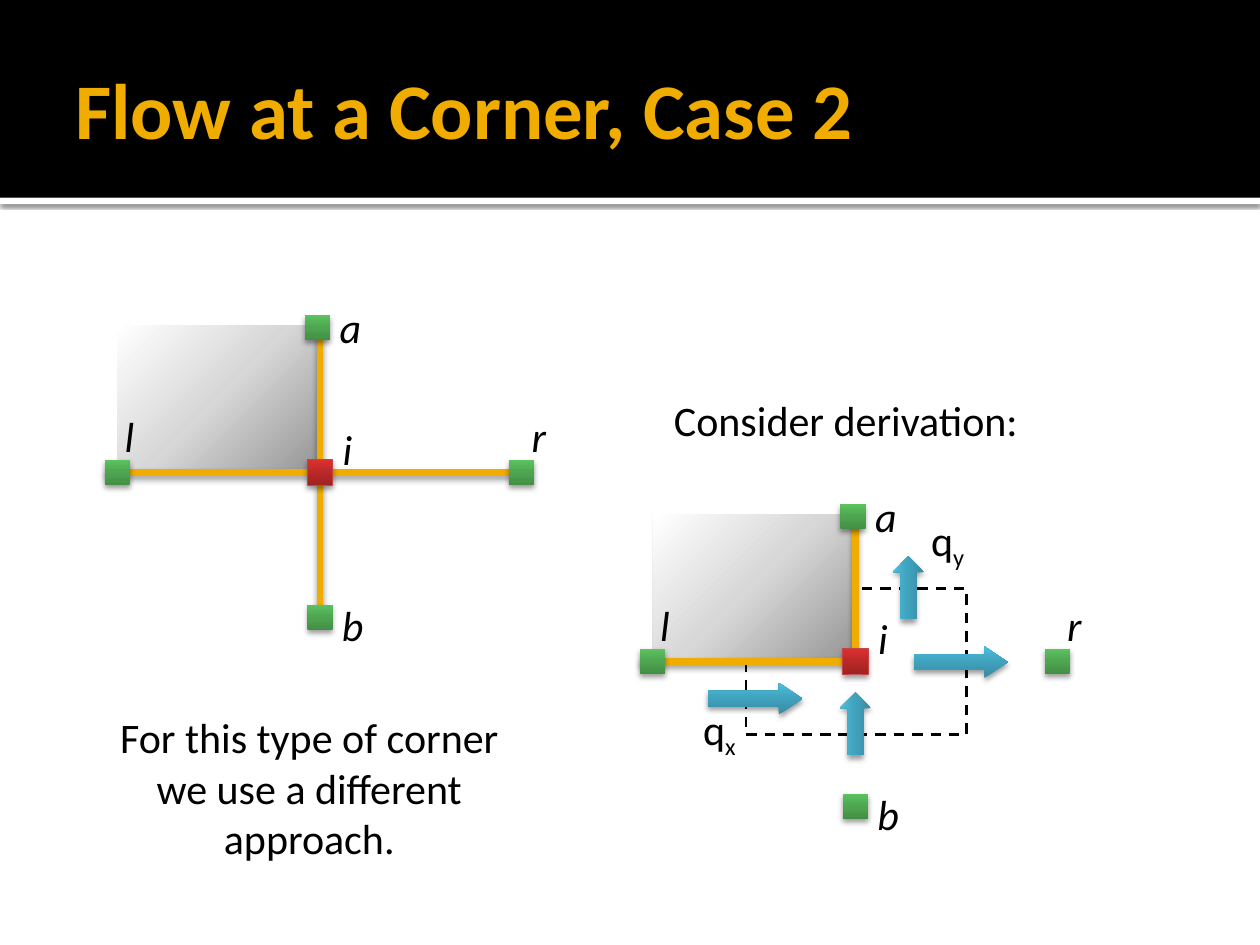
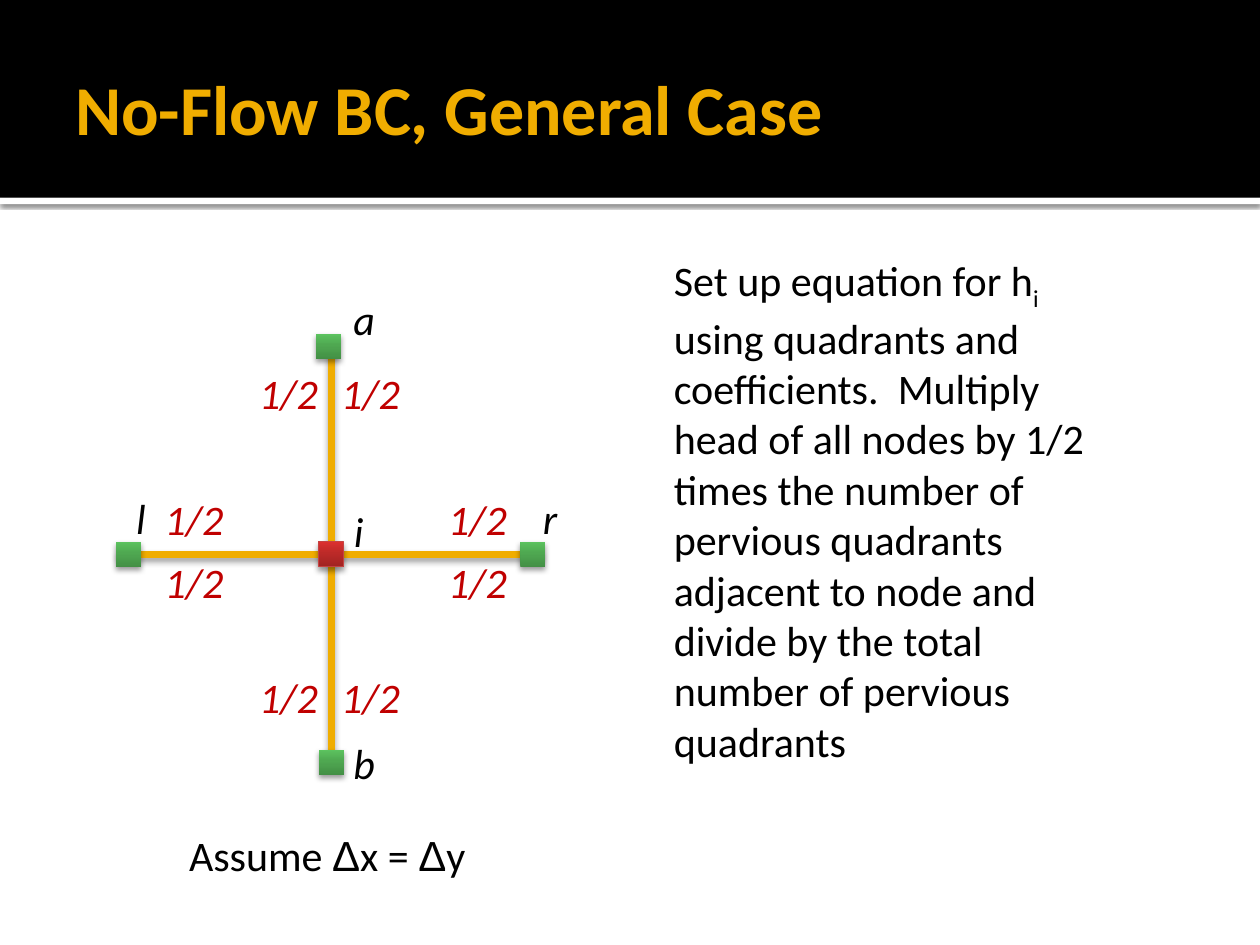
from copy import deepcopy
from itertools import product

from lxml.etree import SubElement
from pptx import Presentation
from pptx.dml.color import RGBColor
from pptx.enum.dml import MSO_LINE
from pptx.enum.shapes import MSO_CONNECTOR, MSO_SHAPE
from pptx.enum.text import MSO_ANCHOR, MSO_AUTO_SIZE, PP_ALIGN
from pptx.oxml.ns import qn
from pptx.util import Inches, Pt

BLACK = RGBColor(0x00, 0x00, 0x00)
WHITE = RGBColor(0xFF, 0xFF, 0xFF)
GOLD = RGBColor(0xF0, 0xAD, 0x00)
CRIMSON = RGBColor(0xC0, 0x00, 0x00)
EDGE = RGBColor(0xC5, 0x43, 0x42)
GREEN = [RGBColor(0x43, 0x8F, 0x45), RGBColor(0x4F, 0xA8, 0x51), RGBColor(0x5C, 0xC3, 0x5F)]
RED = [RGBColor(0xA0, 0x23, 0x22), RGBColor(0xBC, 0x2A, 0x28), RGBColor(0xDC, 0x30, 0x2F)]
BLUE = [RGBColor(0x37, 0x8B, 0xA2), RGBColor(0x41, 0xA4, 0xBF), RGBColor(0x4B, 0xBF, 0xDE)]
GRAY = [RGBColor(0x97, 0x97, 0x97), RGBColor(0xD7, 0xD7, 0xD7), WHITE]

FONT = "Calibri"
NODE = 0.2
TIGHT = (0, 0, 0, 0)
SOFT = (38, 3.1, 2)
BAR_SHADE = (38, 3.5, 2)
BAND_SHADE = (60, 2.5, 0.8)


def cast(shape, shade=None):
    """Set the shadow from (alpha percent, blur, distance), or none."""
    effect = SubElement(shape._element.spPr, qn("a:effectLst"))
    if shade:
        alpha, blur, dist = shade
        outer = SubElement(effect, qn("a:outerShdw"), blurRad=str(Pt(blur)),
                           dist=str(Pt(dist)), dir="5400000", rotWithShape="0")
        color = SubElement(outer, qn("a:srgbClr"), val=str(BLACK))
        SubElement(color, qn("a:alpha"), val=str(alpha * 1000))


def blend(shape, colors, angle, middle):
    """Fill a shape with a gradient of three colours."""
    shape.fill.gradient()
    shape.fill.gradient_angle = angle
    first = shape._element.xpath(".//a:gs")[0]
    first.addnext(deepcopy(first))
    for stop, color, place in zip(shape.fill.gradient_stops, colors, (0, middle, 1)):
        stop.color.rgb = color
        stop.position = place


def form(slide, box, fill, kind=MSO_SHAPE.RECTANGLE, edge=None, shade=None,
         turn=0, angle=90, middle=0.55):
    """Add a preset shape with a plain or gradient fill."""
    shape = slide.shapes.add_shape(kind, *map(Inches, box))
    shape.rotation = turn
    if isinstance(fill, list):
        blend(shape, fill, angle, middle)
    else:
        shape.fill.solid()
        shape.fill.fore_color.rgb = fill
    if edge:
        shape.line.color.rgb = edge
        shape.line.width = Pt(0.5)
    else:
        shape.line.fill.background()
    cast(shape, shade)
    return shape


def write(slide, box, runs, size=24, color=BLACK, bold=False, slant=False,
          align=PP_ALIGN.LEFT, anchor=MSO_ANCHOR.TOP, pad=(0.1, 0.05, 0.1, 0.05),
          wrap=True, grow=True):
    """Add text; runs is a string or a list of (text, font, baseline)."""
    frame = slide.shapes.add_textbox(*map(Inches, box)).text_frame
    frame.word_wrap = wrap
    frame.auto_size = MSO_AUTO_SIZE.SHAPE_TO_FIT_TEXT if grow else MSO_AUTO_SIZE.NONE
    frame.vertical_anchor = anchor
    (frame.margin_left, frame.margin_top,
     frame.margin_right, frame.margin_bottom) = map(Inches, pad)
    para = frame.paragraphs[0]
    para.alignment = align
    for words, face, base in [(runs, FONT, 0)] if isinstance(runs, str) else runs:
        run = para.add_run()
        run.text = words
        font = run.font
        font.name, font.size, font.bold, font.italic = face, Pt(size), bold, slant
        font.color.rgb = color
        if base:
            run._r.get_or_add_rPr().set("baseline", str(base * 1000))


def head(slide, title, size):
    """Draw the black band and the title."""
    form(slide, (0, 1.57, 10, 0.05), WHITE, shade=BAND_SHADE)
    form(slide, (0, 0, 10, 1.57), BLACK)
    write(slide, (0.5, 0.17, 9, 1.37), title, size=size, color=GOLD, bold=True,
          anchor=MSO_ANCHOR.MIDDLE, pad=(0.1, 0.05, 0.05, 0.05), grow=False)


def bar(slide, start, end):
    """Draw one gold grid line."""
    line = slide.shapes.add_connector(MSO_CONNECTOR.STRAIGHT, *map(Inches, start + end))
    line.line.color.rgb = GOLD
    line.line.width = Pt(3.78)
    cast(line, BAR_SHADE)


def cross(slide, x, y, left, right, top, foot, arm, tags):
    """Draw five nodes around (x, y), the corner of node i."""
    mid = NODE / 2
    bar(slide, (x + left, y + mid), (x + right, y + mid))
    bar(slide, (x + mid, y + top), (x + mid, y + foot))
    for name, across in (("i", 0.28), ("l", -1.45), ("r", 1.78)):
        rise = -0.29 if name == "i" else -0.39
        write(slide, (x + across, y + rise, 0.1, 0.4), name,
              slant=True, pad=TIGHT, wrap=False)
    for name, (across, down) in zip("ab", tags):
        write(slide, (x + across, y + down, 0.28, 0.4), name,
              slant=True, align=PP_ALIGN.CENTER, pad=TIGHT)
    form(slide, (x, y, NODE, NODE), RED, edge=EDGE, shade=SOFT)
    for across, down in ((1.6, 0), (-1.61, 0), (0, arm), (-0.02, -arm)):
        form(slide, (x + across, y + down, NODE, NODE), GREEN, shade=SOFT)


def corner(slide, x, y, right, foot):
    """Draw the nodes with the blocked quadrant at upper left."""
    form(slide, (x - 1.29, y - 1.29, 1.15, 1.59), GRAY, turn=270, angle=45, middle=0.5)
    cross(slide, x, y, -1.61, right, -1.07, foot, 1.15, [(0.2, -1.26), (0.22, 1.11)])


def flow(slide, x, y):
    """Draw the dashed control volume and its flow arrows around node i."""
    marks = [(-0.77, 0.1), (-0.77, 0.68), (0.98, 0.68), (0.98, -0.48), (0.06, -0.48)]
    first, *rest = [(Inches(x + across), Inches(y + down)) for across, down in marks]
    pen = slide.shapes.build_freeform(*first, scale=1.0)
    pen.add_line_segments(rest, close=False)
    dash = pen.convert_to_shape()
    dash.fill.background()
    dash.line.color.rgb = BLACK
    dash.line.width = Pt(1.5)
    dash.line.dash_style = MSO_LINE.DASH
    cast(dash)
    for across, down, long, turn, tip in (
            (-1.07, 0.27, 0.75, 0, 0.75), (0.56, -0.02, 0.75, 0, 0.75),
            (-0.15, 0.47, 0.5, 270, 0.5), (0.27, -0.61, 0.5, 270, 0.5)):
        arrow = form(slide, (x + across, y + down, long, 0.25), BLUE,
                     kind=MSO_SHAPE.RIGHT_ARROW, shade=SOFT, turn=turn)
        arrow.adjustments[1] = tip
    for axis, across, down in (("y", 0.7, -1.07), ("x", -1.11, 0.43)):
        write(slide, (x + across, y + down, 0.28, 0.4),
              [("q", FONT, 0), (axis, FONT, -25)], pad=TIGHT, wrap=False)


def halves(slide, x, y):
    """Label both sides of each arm around node i."""
    spots = [*product((0.12, -0.53), (-1.38, 1.03)), *product((0.97, -1.28), (-0.38, 0.12))]
    for across, down in spots:
        write(slide, (x + across, y + down, 0.58, 0.4), "1/2", color=CRIMSON,
              slant=True, align=PP_ALIGN.CENTER, pad=TIGHT)


def case_two(slide):
    """Build the slide on the second corner case."""
    head(slide, "Flow at a Corner, Case 2", 45)
    flow(slide, 6.69, 5.15)
    corner(slide, 2.44, 3.65, 1.76, 1.27)
    corner(slide, 6.69, 5.15, 0.06, 0.1)
    write(slide, (5.25, 3.08, 3.75, 0.5), "Consider derivation:", anchor=MSO_ANCHOR.MIDDLE)
    write(slide, (0.83, 5.6, 3.25, 1.31),
          "For this type of corner we use a different approach.", align=PP_ALIGN.CENTER)


def general(slide):
    """Build the slide on the general case."""
    head(slide, "No-Flow BC, General Case", 40)
    write(slide, (1.5, 6.58, 2.25, 0.4),
          [("Assume ", FONT, 0), ("Δ", "Arial", 0), ("x = ", FONT, 0),
           ("Δ", "Arial", 0), ("y", FONT, 0)], pad=TIGHT, wrap=False)
    write(slide, (5.25, 1.98, 3.67, 4.14),
          [("Set up equation for h", FONT, 0), ("i", FONT, -25),
           (" using quadrants and coefficients.  Multiply head of all nodes by 1/2 "
            "times the number of pervious quadrants adjacent to node and divide by "
            "the total number of pervious quadrants", FONT, 0)],
          anchor=MSO_ANCHOR.MIDDLE)
    cross(slide, 2.53, 4.3, -1.6, 1.77, -1.6, 1.77, 1.65, [(0.22, -1.97), (0.22, 1.55)])
    halves(slide, 2.53, 4.3)


def main():
    """Build and save the deck."""
    deck = Presentation()
    deck.slide_width, deck.slide_height = Inches(10), Inches(7.5)
    for build in (case_two, general):
        build(deck.slides.add_slide(deck.slide_layouts[6]))
    deck.save("out.pptx")


if __name__ == "__main__":
    main()
